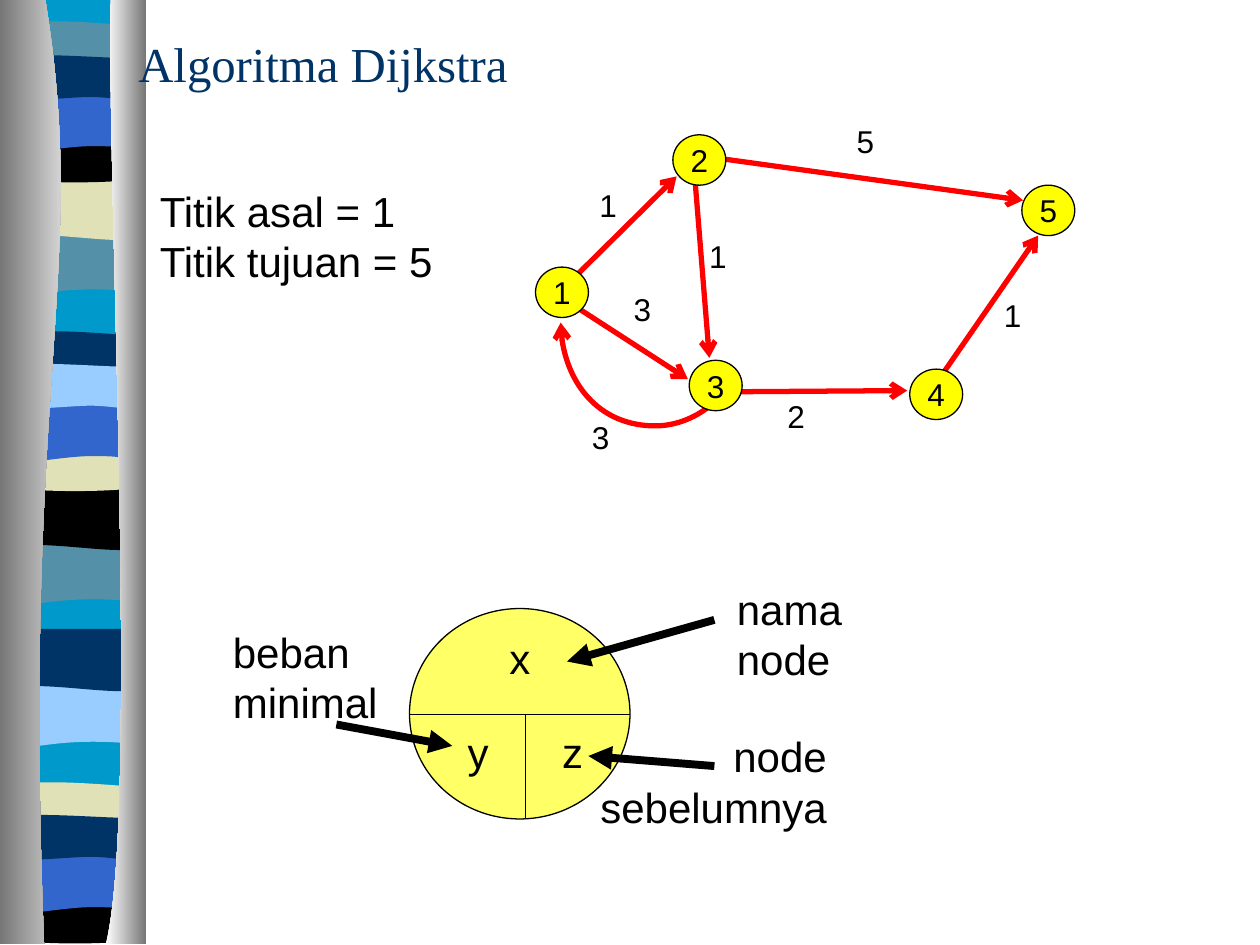
from lxml.etree import SubElement
from pptx import Presentation
from pptx.dml.color import RGBColor
from pptx.enum.shapes import MSO_CONNECTOR as CONN, MSO_SHAPE as SHAPE
from pptx.enum.text import MSO_ANCHOR as ANCHOR, PP_ALIGN as ALIGN
from pptx.oxml.ns import qn
from pptx.util import Inches, Pt

prs = Presentation()
prs.slide_width, prs.slide_height = Inches(10), Inches(7.5)
s = prs.slides.add_slide(prs.slide_layouts[6])
COL, ROW = prs.slide_width / 10, prs.slide_height / 7.5


def rgb(color):
    """Turn a hex string into a colour."""
    return RGBColor.from_string(color)


def cells(*lengths):
    """Turn alternating columns and rows into slide lengths."""
    return [round(n * (ROW if i % 2 else COL)) for i, n in enumerate(lengths)]


def stroke(sp, color, width, **ends):
    """Set a line and its headEnd or tailEnd arrow type."""
    sp.line.color.rgb = rgb(color)
    sp.line.width = Pt(width)
    for end, kind in ends.items():
        SubElement(sp.line._get_or_add_ln(), qn("a:" + end), type=kind)


def write(sp, text, size, align=ALIGN.LEFT, anchor=ANCHOR.TOP, wrap=False,
          font="Arial", color="000000", spacing=None, inset=True):
    """Fill a shape with paragraphs of one style."""
    tf = sp.text_frame
    tf.word_wrap, tf.vertical_anchor = wrap, anchor
    if not inset:
        tf.margin_left = tf.margin_right = tf.margin_top = tf.margin_bottom = 0
    tf.text = text
    for p in tf.paragraphs:
        p.alignment, p.line_spacing = align, spacing
        p.font.size, p.font.name, p.font.color.rgb = Pt(size), font, rgb(color)


def label(x, y, w, h, text, size, **style):
    """Add a text box."""
    write(s.shapes.add_textbox(*cells(x, y, w, h)), text, size, **style)


def line(x1, y1, x2, y2, color, width, **ends):
    """Add a straight line or arrow."""
    c = s.shapes.add_connector(CONN.STRAIGHT, *cells(x1, y1, x2, y2))
    SubElement(c._element.spPr, qn("a:effectLst"))
    stroke(c, color, width, **ends)


def ellipse(x, y, w, h, fill):
    """Add an outlined ellipse."""
    sp = s.shapes.add_shape(SHAPE.OVAL, *cells(x, y, w, h))
    sp.shadow.inherit = False
    sp.fill.solid()
    sp.fill.fore_color.rgb = rgb(fill)
    stroke(sp, "000000", 0.75)
    return sp


def outline(x, y, steps, close=True):
    """Draw steps of one point (line) or three points (Bezier curve)."""
    pts = [tuple(cells(x + px, y + py)) for step in steps
           for px, py in zip(step[::2], step[1::2])]
    fb = s.shapes.build_freeform(*pts[0])
    fb.add_line_segments(pts[1:], close=close)
    sp = fb.convert_to_shape()
    sp.shadow.inherit = False
    segments = iter(list(sp._element.iter(qn("a:lnTo"))))
    for step in steps[1:]:
        segment = next(segments)
        if len(step) == 6:
            segment.tag = qn("a:cubicBezTo")
            for extra in (next(segments), next(segments)):
                segment.append(extra[0])
                extra.getparent().remove(extra)
    return sp


def band(x, y, steps, color):
    """Add a filled outline without a line."""
    sp = outline(x, y, steps)
    sp.fill.solid()
    sp.fill.fore_color.rgb = rgb(color)
    sp.line.fill.background()


def column(x, y, steps, colors):
    """Add an outline shaded from left to right."""
    sp = outline(x, y, steps)
    sp.fill.gradient()
    sp.fill.gradient_angle = 0
    for stop, (position, color) in zip(sp.fill.gradient_stops, enumerate(colors)):
        stop.position, stop.color.rgb = position, rgb(color)
    sp.line.fill.background()


def ribbon(x, y):
    """Draw the banded ribbon between two shaded columns."""
    navy, blue, teal, sand, sky, black = "003366", "3366CC", "5490A8", "E1E1B7", "99CCFF", "000000"
    waves = {
        "tail": [(1.09, 0), (1.09, .47), (.34, .39, .18, .55, 0, .47), (0, 0)],
        "sag": [(1.09, 0), (1.09, .47), (.91, .55, .34, .41, 0, .47), (0, 0)],
        "thin": [(1.09, .05), (1.09, .29), (.91, .34, .18, .34, 0, .29), (0, .05),
                 (.08, 0, .24, .01, .42, .01), (.6, .01, .95, .04, 1.09, .05)],
        "bowl": [(1.09, 0), (1.09, .33), (.91, .38, .18, .38, 0, .33), (0, 0),
                 (.67, .05, .86, 0, 1.09, 0)],
        "arch": [(1.09, 0), (1.09, .48), (.92, .42, .85, .42, .67, .42),
                 (.49, .42, .17, .48, 0, .48), (0, 0)],
        "flag": [(1.09, .05), (1.09, .36), (1.02, .41, .85, .36, .67, .36),
                 (.49, .36, .12, .41, 0, .36), (0, .05),
                 (.16, 0, .74, .05, .92, .05), (1.1, .05, 1.05, .05, 1.09, .05)],
    }
    groups = (
        (("tail", 1.85, teal), ("sag", 1.41, sand), ("thin", .16, teal),
         ("bowl", 1.08, black), ("arch", .74, blue), ("flag", .41, navy)),
        (("tail", 4.31, teal), ("sag", 3.87, black), ("thin", 2.62, navy),
         ("bowl", 3.53, sand), ("arch", 3.2, blue), ("flag", 2.86, sky)),
        (("tail", 5.44, sky), ("sag", 4.99, navy), ("thin", 6.2, sand),
         ("bowl", 7.12, black), ("arch", 6.78, blue), ("flag", 6.44, navy)),
    )
    band(x + .05, y, [(0, 0), (1.09, 0), (1.09, 7.47), (0, 7.47)], "0099CC")
    for group in groups:
        for wave, top, color in group:
            band(x + .05, y + top, waves[wave], color)
    column(x, y, [(.36, 0), (.71, 2.16, .17, 2.96, .35, 7.49), (0, 7.49), (0, 0)],
           ("767676", "FFFFFF"))
    column(x, y, [(.88, 0), (.84, 1.25, 1.11, 6.46, .84, 7.49), (1.16, 7.49), (1.16, 0)],
           ("FFFFFF", "767676"))


def graph(x, y):
    """Draw the weighted graph: edges, nodes, then weights."""
    red = "FF0000"
    nodes = ((0, 1.2), (1.09, .15), (1.22, 1.94), (2.97, 2.01), (3.86, .55))
    edges = ((3.14, 2.18, 3.99, .95), (1.26, .31, 3.87, .67), (1.25, .31, 1.38, 1.92),
             (1.47, 2.19, 2.95, 2.18), (.22, 1.45, 1.21, 2.09), (.22, 1.37, 1.12, .48))
    weights = ((3.62, 1.38, 1), (2.45, 0, 5), (1.28, .91, 1), (1.9, 2.18, 2),
               (.68, 1.33, 3), (.41, .51, 1), (.35, 2.35, 3))
    arc = outline(x, y, [(.2, 1.64), (.2, 2.09, .53, 2.46, .95, 2.46),
                         (1.12, 2.46, 1.29, 2.39, 1.42, 2.27)], close=False)
    arc.fill.background()
    stroke(arc, red, 3, headEnd="arrow")
    for x1, y1, x2, y2 in edges:
        line(x + x1, y + y1, x + x2, y + y2, red, 3, tailEnd="arrow")
    for number, (dx, dy) in enumerate(nodes, 1):
        write(ellipse(x + dx, y + dy, .42, .4, "FFFF00"), str(number), 18,
              align=ALIGN.CENTER, anchor=ANCHOR.MIDDLE)
    for dx, dy, weight in weights:
        label(x + dx, y + dy, .34, .4, str(weight), 18)


def legend(x, y):
    """Draw the divided node with its three explanations."""
    ellipse(x + 1.5, y + .25, 1.75, 1.67, "FFFF66")
    for x1, y1, x2, y2 in ((1.5, 1.09, 3.25, 1.09), (2.42, 1.09, 2.42, 1.92)):
        line(x + x1, y + y1, x + x2, y + y2, "000000", 0.75)
    for dx, dy, letter in ((2.25, .44, "x"), (1.92, 1.19, "y"), (2.67, 1.19, "z")):
        label(x + dx, y + dy, .25, .4, letter, 24, align=ALIGN.CENTER, wrap=True, inset=False)
    for x1, y1, x2, y2 in ((3.92, .34, 2.75, .67), (3.92, 1.5, 2.92, 1.42), (.92, 1.17, 1.84, 1.34)):
        line(x + x1, y + y1, x + x2, y + y2, "000000", 4.5, tailEnd="triangle")
    label(x + 4, y, 1.08, .9, "nama\nnode", 24, wrap=True)
    label(x + 2.87, y + 1.17, 2.04, .9, "node\nsebelumnya", 24, align=ALIGN.RIGHT, wrap=True)
    label(x, y + .34, 1.4, .9, "beban\nminimal", 24, wrap=True)


ribbon(0, 0)
graph(4.25, .92)
label(1.17, 1.42, 2.42, .9, "Titik asal = 1\nTitik tujuan = 5", 24, wrap=True)
legend(1.75, 4.58)
label(1, .25, 4.33, .58, "Algoritma Dijkstra", 27.9, anchor=ANCHOR.MIDDLE, wrap=True,
      font="Times New Roman", color="003366", spacing=.8)
prs.save("out.pptx")
